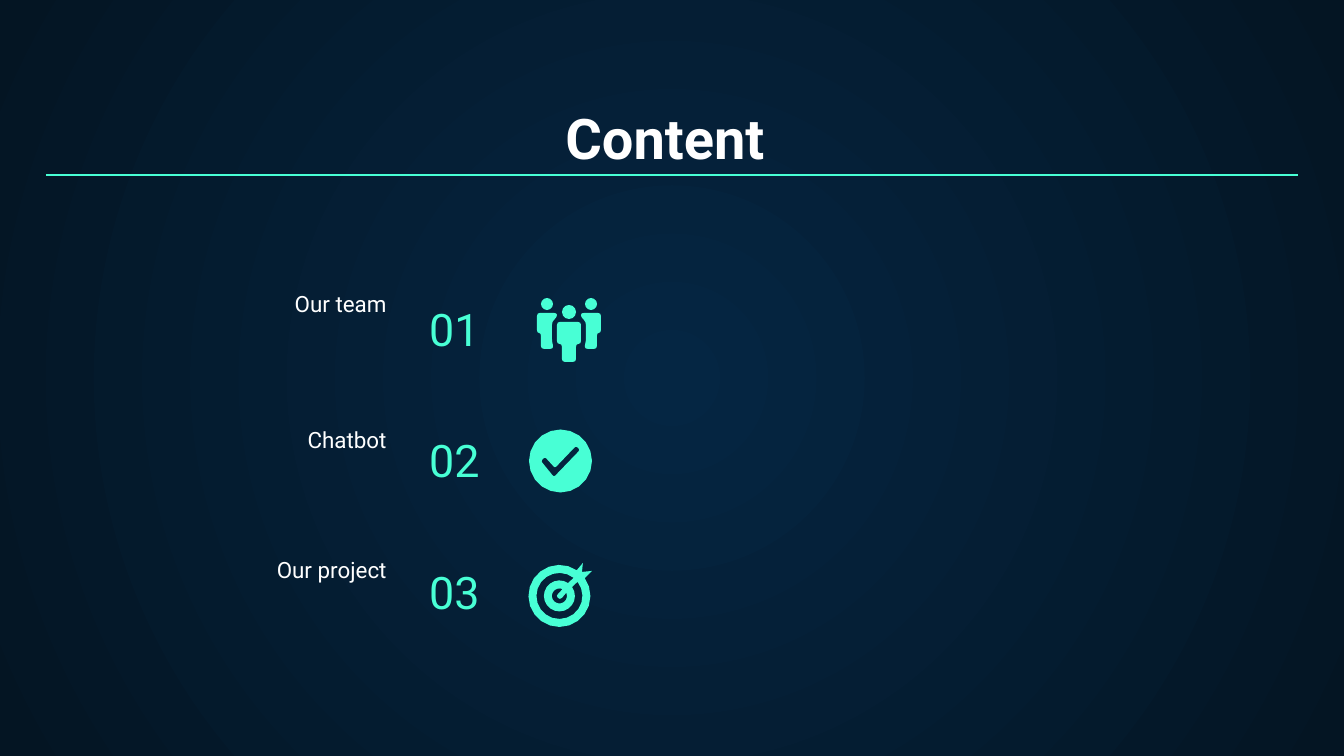
from dataclasses import dataclass
from math import cos, radians, sin

from lxml import etree
from pptx import Presentation
from pptx.dml.color import RGBColor
from pptx.enum.shapes import MSO_CONNECTOR, MSO_SHAPE
from pptx.enum.text import MSO_ANCHOR, MSO_AUTO_SIZE, PP_ALIGN
from pptx.oxml.ns import qn
from pptx.util import Emu, Inches, Pt

LEFT, CENTER, RIGHT = PP_ALIGN.LEFT, PP_ALIGN.CENTER, PP_ALIGN.RIGHT
BOTTOM = MSO_ANCHOR.BOTTOM
NO_FIT = MSO_AUTO_SIZE.NONE
OVAL = MSO_SHAPE.OVAL
STRAIGHT = MSO_CONNECTOR.STRAIGHT

EMU_PER_PX = 914400 / 134.4
ARC_STEP = 18
FONT = "Roboto"
COLORS = {
    "center": "052643",
    "edge": "041523",
    "accent": "48FFD5",
    "text": "FFFFFF",
}
Points = list[tuple[float, float]]


@dataclass
class Item:
    number: str
    label: str
    number_y: int
    label_y: int


@dataclass
class Style:
    size: int
    color: str
    align: PP_ALIGN
    bold: bool = False


ITEMS = [
    Item("01", "Our team", 280, 302),
    Item("02", "Chatbot", 411, 438),
    Item("03", "Our project", 543, 568),
]
TITLE = Style(30, "text", CENTER, True)
NUMBER = Style(24, "accent", LEFT)
LABEL = Style(12, "text", RIGHT)

MIRROR_X = 1138
HEADS = [(541, 298, 12), (585, 298, 12), (562, 305, 14)]
SIDE_BODY = [(537, 313), (557, 313), (557, 317), (552, 322), (552, 341),
             (553, 345), (553, 349), (541, 349), (541, 333), (537, 333)]
FRONT_BODY = [(557, 322), (581, 322), (581, 344), (576, 344),
              (576, 362), (562, 362), (562, 344), (557, 344)]
TICK = [(576, 446), (580, 450), (554, 477), (541, 461), (545, 457), (555, 468)]


def px(n: float) -> Emu:
    return Emu(round(n * EMU_PER_PX))


def rgb(name: str) -> RGBColor:
    return RGBColor.from_string(COLORS[name])


def paint_background(slide) -> None:
    fill = slide.background.fill
    fill.gradient()
    for stop, name in zip(fill.gradient_stops, ("center", "edge")):
        stop.color.rgb = rgb(name)
    grad = slide.element.find(".//" + qn("a:gradFill"))
    grad.remove(grad.find(qn("a:lin")))
    circle = etree.SubElement(grad, qn("a:path"), path="circle")
    etree.SubElement(circle, qn("a:fillToRect"),
                     l="50000", t="50000", r="50000", b="50000")


def write(sp, text: str, style: Style) -> None:
    tf = sp.text_frame
    tf.text = text
    tf.word_wrap = True
    tf.auto_size = NO_FIT
    tf.vertical_anchor = BOTTOM
    tf.margin_left = tf.margin_right = Inches(0.1)
    tf.margin_top = tf.margin_bottom = Inches(0.1)
    p = tf.paragraphs[0]
    p.alignment = style.align
    font = p.runs[0].font
    font.name, font.size, font.bold = FONT, Pt(style.size), style.bold
    font.color.rgb = rgb(style.color)


def arc(cx: float, cy: float, r: float, start: int, end: int) -> Points:
    steps = round(abs(end - start) / ARC_STEP)
    angles = [radians(start + (end - start) * i / steps) for i in range(steps + 1)]
    return [(cx + r * cos(a), cy + r * sin(a)) for a in angles]


def rounded(points: Points, radius: float) -> Points:
    result = []
    for i, (x, y) in enumerate(points):
        ends = []
        for nx, ny in (points[i - 1], points[(i + 1) % len(points)]):
            length = ((nx - x) ** 2 + (ny - y) ** 2) ** 0.5
            t = min(radius / length, 0.5)
            ends.append((x + (nx - x) * t, y + (ny - y) * t))
        (ax, ay), (bx, by) = ends
        middle = ((ax + 2 * x + bx) / 4, (ay + 2 * y + by) / 4)
        result += [(ax, ay), middle, (bx, by)]
    return result


def fill_accent(sp) -> None:
    sp.shadow.inherit = False
    sp.fill.solid()
    sp.fill.fore_color.rgb = rgb("accent")
    sp.line.fill.background()


def draw_outline(shapes, contours: list[Points]) -> None:
    scaled = [[(px(x), px(y)) for x, y in contour] for contour in contours]
    builder = shapes.build_freeform(*scaled[0][0])
    builder.add_line_segments(scaled[0][1:])
    for contour in scaled[1:]:
        builder.move_to(*contour[0])
        builder.add_line_segments(contour[1:])
    fill_accent(builder.convert_to_shape())


def draw_team(shapes) -> None:
    group = shapes.add_group_shape()
    for x, y, d in HEADS:
        fill_accent(group.shapes.add_shape(OVAL, px(x), px(y), px(d), px(d)))
    mirrored = [(MIRROR_X - x, y) for x, y in SIDE_BODY]
    for body in (SIDE_BODY, mirrored, FRONT_BODY):
        draw_outline(group.shapes, [rounded(body, 3)])


def draw_check(shapes) -> None:
    draw_outline(shapes, [arc(560.5, 461, 31.5, 0, 360), rounded(TICK, 2)])


def draw_target(shapes) -> None:
    c = (559.5, 596)
    outer = arc(*c, 31, -35, 304) + [(583, 563), (582, 572), (592, 571)]
    gap = arc(*c, 23, -38, 308) + arc(*c, 15.5, 304, -35)
    hole = arc(*c, 7.5, -25, 295) + [(558, 594), (557, 596), (558, 598),
                                     (560, 599), (562, 598)]
    draw_outline(shapes, [outer, gap, hole])


def draw_rule(shapes) -> None:
    line = shapes.add_connector(STRAIGHT, px(46), px(175), px(1298), px(175))
    line.line.color.rgb = rgb("accent")
    line.line.width = Pt(0.75)
    etree.SubElement(line.element.spPr, qn("a:effectLst"))


def main() -> None:
    prs = Presentation()
    prs.slide_width, prs.slide_height = px(1344), px(756)
    slide = prs.slides.add_slide(prs.slide_layouts[5])
    shapes = slide.shapes
    paint_background(slide)

    title = shapes.title
    title.left, title.top, title.width, title.height = px(46), px(95), px(1252), px(89)
    write(title, "Content ", TITLE)

    for item in ITEMS:
        number = shapes.add_textbox(px(416), px(item.number_y), px(173), px(89))
        write(number, item.number, NUMBER)
        label = shapes.add_textbox(px(95), px(item.label_y), px(305), px(28))
        write(label, item.label, LABEL)

    draw_target(shapes)
    draw_check(shapes)
    draw_team(shapes)
    draw_rule(shapes)
    prs.save("out.pptx")


if __name__ == "__main__":
    main()
